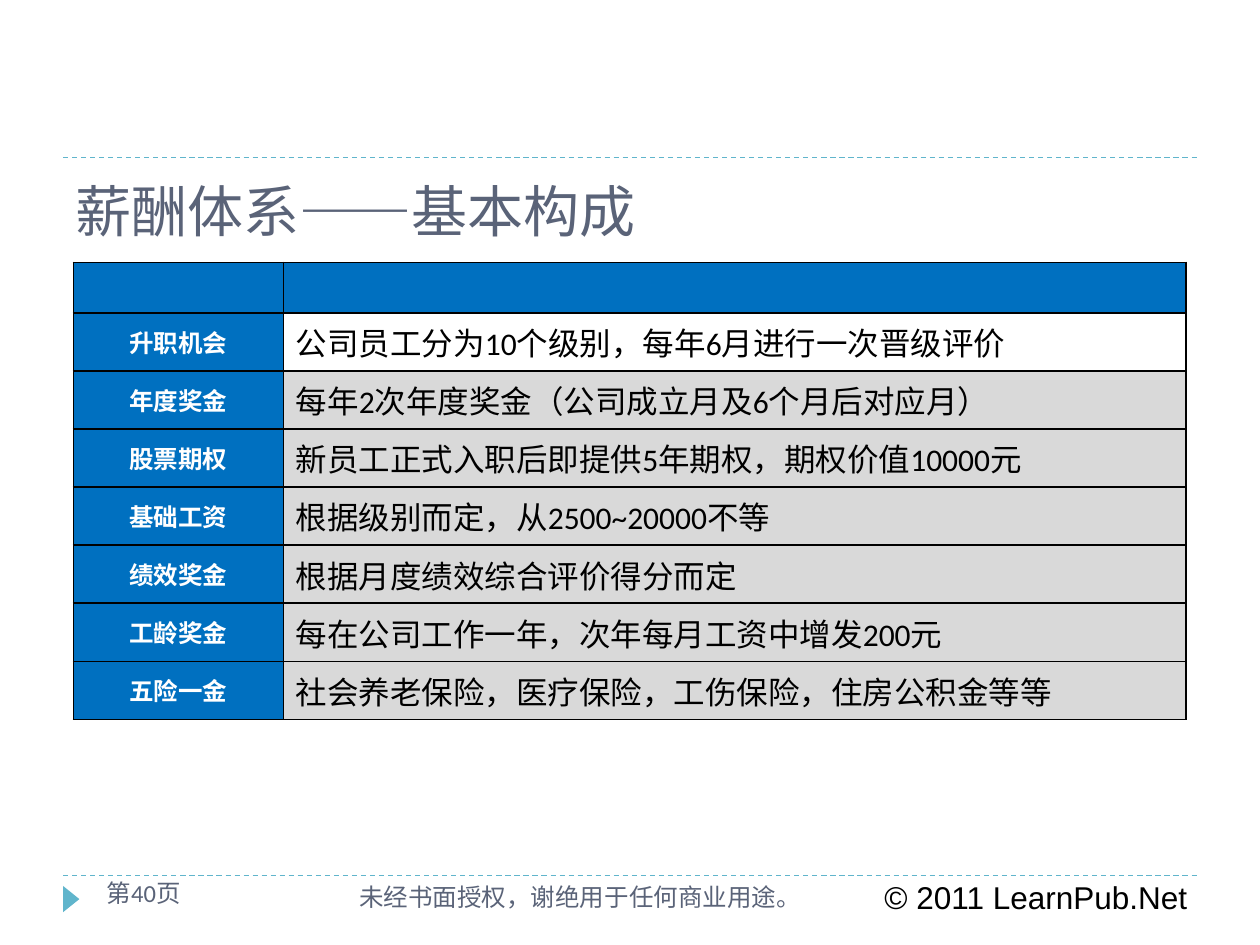
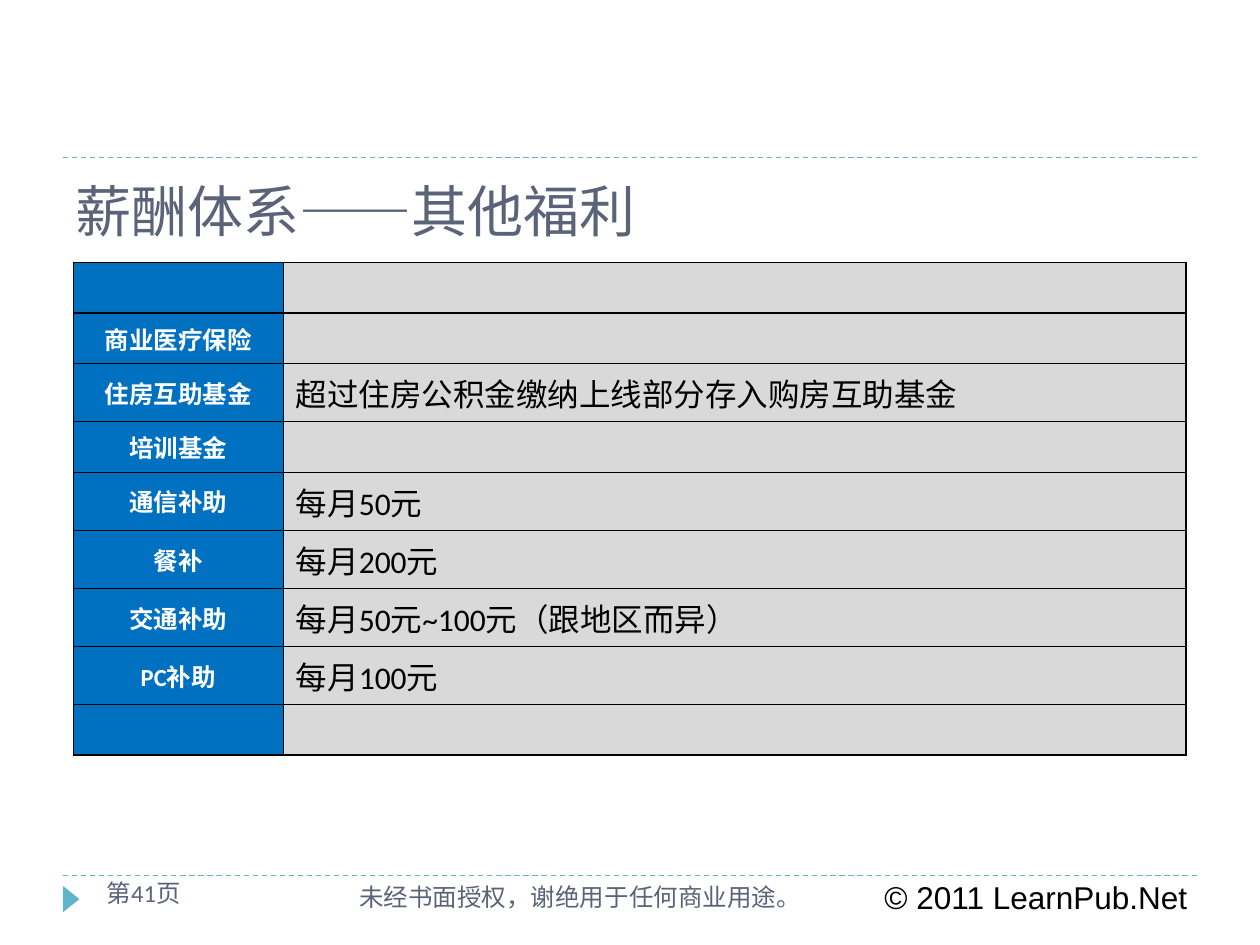
from lxml import etree
from pptx import Presentation
from pptx.dml.color import RGBColor
from pptx.enum.dml import MSO_LINE
from pptx.enum.shapes import MSO_CONNECTOR, MSO_SHAPE
from pptx.enum.text import MSO_ANCHOR, MSO_AUTO_SIZE, PP_ALIGN
from pptx.oxml.ns import qn
from pptx.util import Cm, Pt

BLUE = RGBColor(0x00, 0x70, 0xC0)
GRAY = RGBColor(0xD9, 0xD9, 0xD9)
WHITE = RGBColor(0xFF, 0xFF, 0xFF)
BLACK = RGBColor(0x00, 0x00, 0x00)
SLATE = RGBColor(0x5A, 0x63, 0x78)
TEAL = RGBColor(0x60, 0xB5, 0xCC)

BODY_FONT = "Calibri"
TITLE_FONT = "TeX Gyre Bonum"
COPYRIGHT_FONT = "Arial"

LEFT, CENTER = PP_ALIGN.LEFT, PP_ALIGN.CENTER
TOP, MIDDLE = MSO_ANCHOR.TOP, MSO_ANCHOR.MIDDLE
NO_AUTOFIT = MSO_AUTO_SIZE.NONE
DASH = MSO_LINE.DASH
STRAIGHT = MSO_CONNECTOR.STRAIGHT
TRIANGLE = MSO_SHAPE.ISOSCELES_TRIANGLE

TITLE_ONLY = 5
RULE_LEFT, RULE_RIGHT = Cm(1.27), Cm(24.13)
RULE_HEIGHTS = (Cm(3.18), Cm(17.65))
LABEL_WIDTH, DETAIL_WIDTH = Cm(4.23), Cm(18.2)
SHORT_ROW, TALL_ROW = Cm(1.02), Cm(1.17)

BASIC_PAY = [
    ("", "", BLUE),
    ("升职机会", "公司员工分为10个级别，每年6月进行一次晋级评价", WHITE),
    ("年度奖金", "每年2次年度奖金（公司成立月及6个月后对应月）", GRAY),
    ("股票期权", "新员工正式入职后即提供5年期权，期权价值10000元", GRAY),
    ("基础工资", "根据级别而定，从2500~20000不等", GRAY),
    ("绩效奖金", "根据月度绩效综合评价得分而定", GRAY),
    ("工龄奖金", "每在公司工作一年，次年每月工资中增发200元", GRAY),
    ("五险一金", "社会养老保险，医疗保险，工伤保险，住房公积金等等", GRAY),
]
OTHER_BENEFITS = [
    ("", "", GRAY),
    ("商业医疗保险", "", GRAY),
    ("住房互助基金", "超过住房公积金缴纳上线部分存入购房互助基金", GRAY),
    ("培训基金", "", GRAY),
    ("通信补助", "每月50元", GRAY),
    ("餐补", "每月200元", GRAY),
    ("交通补助", "每月50元~100元（跟地区而异）", GRAY),
    ("PC补助", "每月100元", GRAY),
    ("", "", GRAY),
]


def write_text(frame, text, size=14, color=SLATE, font=BODY_FONT, bold=False, align=LEFT):
    paragraph = frame.paragraphs[0]
    paragraph.alignment = align
    run = paragraph.add_run()
    run.text = text
    run.font.size = Pt(size)
    run.font.name = font
    run.font.bold = bold
    run.font.color.rgb = color


def add_note(slide, left, top, width, text, **text_format):
    frame = slide.shapes.add_textbox(left, top, width, Cm(1.02)).text_frame
    frame.word_wrap = True
    frame.vertical_anchor = TOP
    write_text(frame, text, **text_format)


def add_rule(slide, height):
    rule = slide.shapes.add_connector(STRAIGHT, RULE_LEFT, height, RULE_RIGHT, height)
    rule.line.color.rgb = TEAL
    rule.line.width = Pt(0.75)
    rule.line.dash_style = DASH
    etree.SubElement(rule._element.spPr, qn("a:effectLst"))


def add_page_marker(slide):
    marker = slide.shapes.add_shape(TRIANGLE, Cm(1.17), Cm(17.96), Cm(0.53), Cm(0.33))
    marker.rotation = 90
    marker.shadow.inherit = False
    marker.fill.solid()
    marker.fill.fore_color.rgb = TEAL
    marker.line.fill.background()


def add_frame(slide, page):
    for height in RULE_HEIGHTS:
        add_rule(slide, height)
    add_page_marker(slide)
    add_note(slide, Cm(17.58), Cm(17.58), Cm(6.78), "© 2011 LearnPub.Net",
             size=18, color=BLACK, font=COPYRIGHT_FONT)
    add_note(slide, Cm(6.99), Cm(17.65), Cm(10.16), "未经书面授权，谢绝用于任何商业用途。")
    add_note(slide, Cm(1.9), Cm(17.58), Cm(4.22), f"第{page}页")


def set_title(slide, text):
    title = slide.shapes.title
    title.left, title.top, title.width, title.height = RULE_LEFT, Cm(3.38), Cm(22.86), Cm(1.7)
    title.text_frame.auto_size = NO_AUTOFIT
    title.text_frame.vertical_anchor = MIDDLE
    write_text(title.text_frame, text, size=32, font=TITLE_FONT)


def add_borders(cell):
    properties = cell._tc.get_or_add_tcPr()
    for side in ("a:lnL", "a:lnR", "a:lnT", "a:lnB"):
        border = etree.SubElement(properties, qn(side), w=str(Pt(1)))
        fill = etree.SubElement(border, qn("a:solidFill"))
        etree.SubElement(fill, qn("a:srgbClr"), val=str(BLACK))


def fill_cell(cell, text, fill, **text_format):
    add_borders(cell)
    cell.fill.solid()
    cell.fill.fore_color.rgb = fill
    cell.vertical_anchor = MIDDLE
    if text:
        write_text(cell.text_frame, text, **text_format)


def add_benefit_table(slide, benefits):
    heights = [TALL_ROW if detail else SHORT_ROW for _, detail, _ in benefits]
    table = slide.shapes.add_table(len(benefits), 2, Cm(1.48), Cm(5.29),
                                   LABEL_WIDTH + DETAIL_WIDTH, sum(heights)).table
    table.columns[0].width = LABEL_WIDTH
    table.columns[1].width = DETAIL_WIDTH
    for index, (label, detail, detail_fill) in enumerate(benefits):
        table.rows[index].height = heights[index]
        fill_cell(table.cell(index, 0), label, BLUE, color=WHITE, bold=True, align=CENTER)
        fill_cell(table.cell(index, 1), detail, detail_fill, size=18, color=BLACK)


def add_benefit_slide(deck, page, title, benefits):
    slide = deck.slides.add_slide(deck.slide_layouts[TITLE_ONLY])
    add_frame(slide, page)
    set_title(slide, title)
    add_benefit_table(slide, benefits)


def main():
    deck = Presentation()
    deck.slide_width, deck.slide_height = Cm(25.4), Cm(19.05)
    add_benefit_slide(deck, 40, "薪酬体系——基本构成", BASIC_PAY)
    add_benefit_slide(deck, 41, "薪酬体系——其他福利", OTHER_BENEFITS)
    deck.save("out.pptx")


if __name__ == "__main__":
    main()
